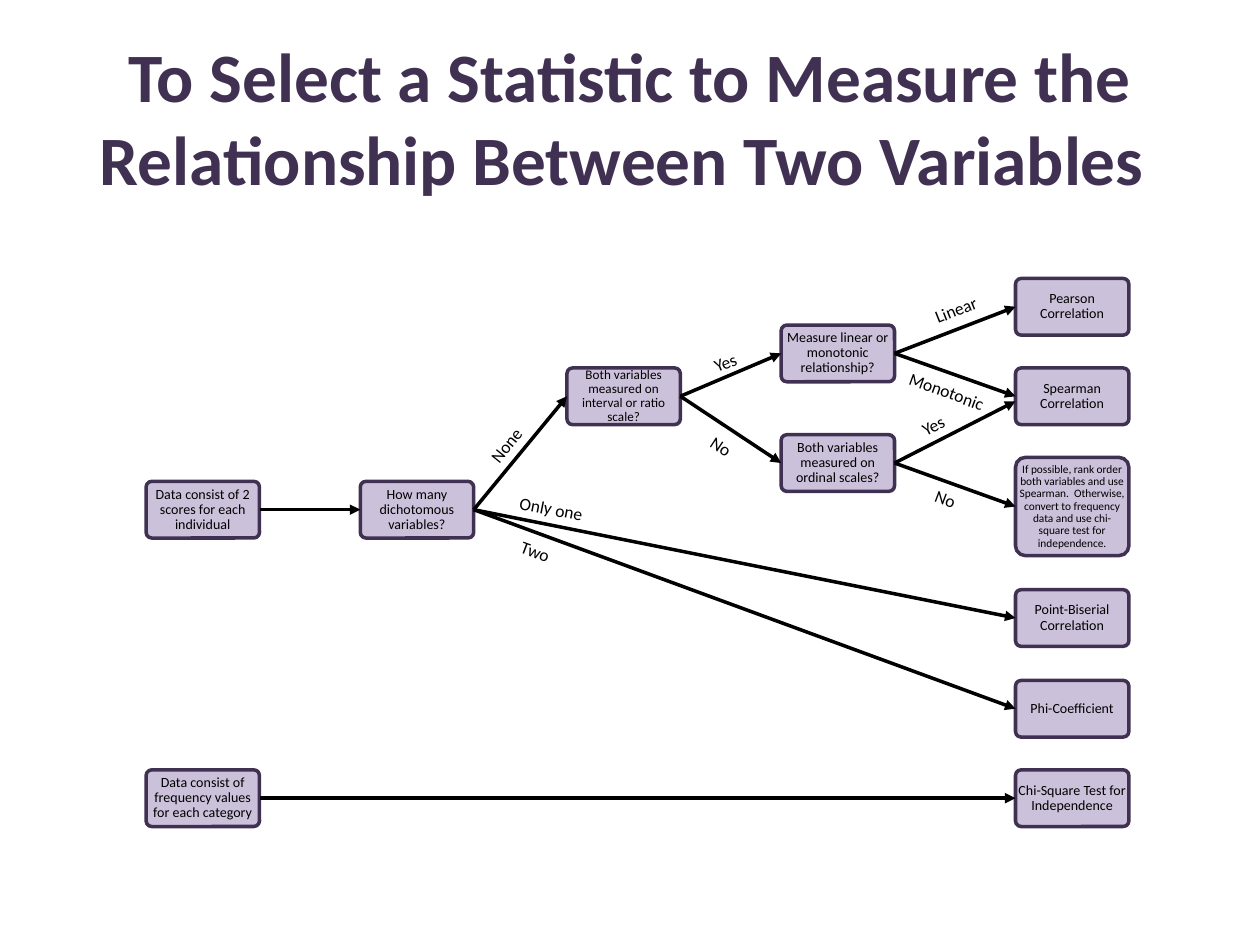
"""Build a decision tree for choosing a statistic that relates two variables."""
from pptx import Presentation
from pptx.dml.color import RGBColor
from pptx.enum.shapes import MSO_CONNECTOR as Connector, MSO_SHAPE as Shape
from pptx.enum.text import MSO_ANCHOR as Anchor, PP_ALIGN as Align
from pptx.oxml.ns import qn
from pptx.util import Inches, Pt
from lxml import etree

PURPLE = RGBColor(0x40, 0x31, 0x52)
LILAC = RGBColor(0xCC, 0xC1, 0xDA)
BLACK = RGBColor(0, 0, 0)
BOX_WIDTH, BOX_HEIGHT = 0.9, 0.45
START, COUNT, SCALE, KIND, RESULT = 1.16, 2.86, 4.5, 6.2, 8.06
LEFT_SITE, RIGHT_SITE = 1, 3


def write(box, text, size, color=BLACK, bold=False, margin=0.01, spacing=1.0, wrap=True):
    frame = box.text_frame
    frame.word_wrap = wrap
    frame.vertical_anchor = Anchor.MIDDLE
    frame.margin_left = frame.margin_right = Inches(margin)
    frame.margin_top = frame.margin_bottom = Inches(margin)
    para = frame.paragraphs[0]
    para.text = text
    para.alignment = Align.CENTER
    para.line_spacing = spacing
    for span in para.runs:
        span.font.name = "Calibri"
        span.font.size = Pt(size)
        span.font.bold = bold
        span.font.color.rgb = color


deck = Presentation()
deck.slide_width, deck.slide_height = Inches(10), Inches(7.5)
page = deck.slides.add_slide(deck.slide_layouts[6])

title = page.shapes.add_textbox(Inches(0.5), Inches(0.3), Inches(9), Inches(1.25))
write(title, "To Select a Statistic to Measure the\vRelationship Between Two Variables ",
      39.6, color=PURPLE, bold=True, margin=0.05)

steps = {
    "scores": (START, 3.82, "Data consist of 2 scores for each individual"),
    "frequencies": (START, 6.11, "Data consist of frequency values for each category"),
    "dichotomous": (COUNT, 3.82, "How many dichotomous variables?"),
    "interval": (SCALE, 2.92, "Both variables measured on interval or ratio scale?"),
    "shape": (KIND, 2.58, "Measure linear or monotonic relationship?"),
    "ordinal": (KIND, 3.45, "Both variables measured on ordinal scales?"),
    "pearson": (RESULT, 2.21, "Pearson Correlation"),
    "spearman": (RESULT, 2.92, "Spearman Correlation"),
    "convert": (RESULT, 3.63, "If possible, rank order both variables and use Spearman.  "
                "Otherwise, convert to frequency data and use chi-square test for independence."),
    "biserial": (RESULT, 4.68, "Point-Biserial Correlation"),
    "phi": (RESULT, 5.4, "Phi-Coefficient"),
    "chi": (RESULT, 6.11, "Chi-Square Test for Independence"),
}
sizes = {"interval": 7.5, "convert": 6.5}
boxes = {}
for name, (left, top, text) in steps.items():
    tall = name == "convert"
    box = page.shapes.add_shape(Shape.ROUNDED_RECTANGLE, Inches(left), Inches(top),
                                Inches(BOX_WIDTH), Inches(0.78 if tall else BOX_HEIGHT))
    box.adjustments[0] = 0.1
    box.shadow.inherit = False
    box.fill.solid()
    box.fill.fore_color.rgb = LILAC
    box.line.color.rgb = PURPLE
    box.line.width = Pt(2)
    write(box, text, sizes.get(name, 8), margin=0 if tall else 0.01, spacing=0.9)
    boxes[name] = box

arrows = [
    ("scores", "dichotomous", 0), ("dichotomous", "interval", 0),
    ("interval", "shape", 0), ("interval", "ordinal", 0),
    ("shape", "pearson", 0), ("shape", "spearman", 0),
    ("ordinal", "spearman", 0.04), ("ordinal", "convert", 0),
    ("dichotomous", "biserial", 0), ("dichotomous", "phi", 0),
    ("frequencies", "chi", 0),
]
for source, target, drop in arrows:
    end = boxes[target]
    arrow = page.shapes.add_connector(Connector.STRAIGHT, 0, 0, end.left,
                                      end.top + end.height // 2 + Inches(drop))
    arrow.begin_connect(boxes[source], RIGHT_SITE)
    if not drop:
        arrow.end_connect(end, LEFT_SITE)
    arrow.line.color.rgb = BLACK
    arrow.line.width = Pt(2)
    etree.SubElement(arrow.line._get_or_add_ln(), qn("a:tailEnd"), type="triangle")
    etree.SubElement(arrow._element.spPr, qn("a:effectLst"))

labels = [
    ("None", 3.76, 3.4, 0.51, 308.7),
    ("Two", 4.03, 4.24, 0.44, 20.6),
    ("Only one", 4.02, 3.9, 0.71, 11.2),
    ("No", 7.32, 3.82, 0.37, 20.6),
    ("No", 5.54, 3.41, 0.37, 33.4),
    ("Yes", 7.21, 3.24, 0.39, 333.2),
    ("Yes", 5.56, 2.74, 0.39, 337.9),
    ("Monotonic", 7.1, 2.97, 0.83, 20),
    ("Linear", 7.31, 2.32, 0.55, 338.4),
]
for text, left, top, width, angle in labels:
    label = page.shapes.add_textbox(Inches(left), Inches(top), Inches(width), Inches(0.27))
    label.rotation = angle
    write(label, text, 10, margin=0.05, wrap=False)

deck.save("out.pptx")
